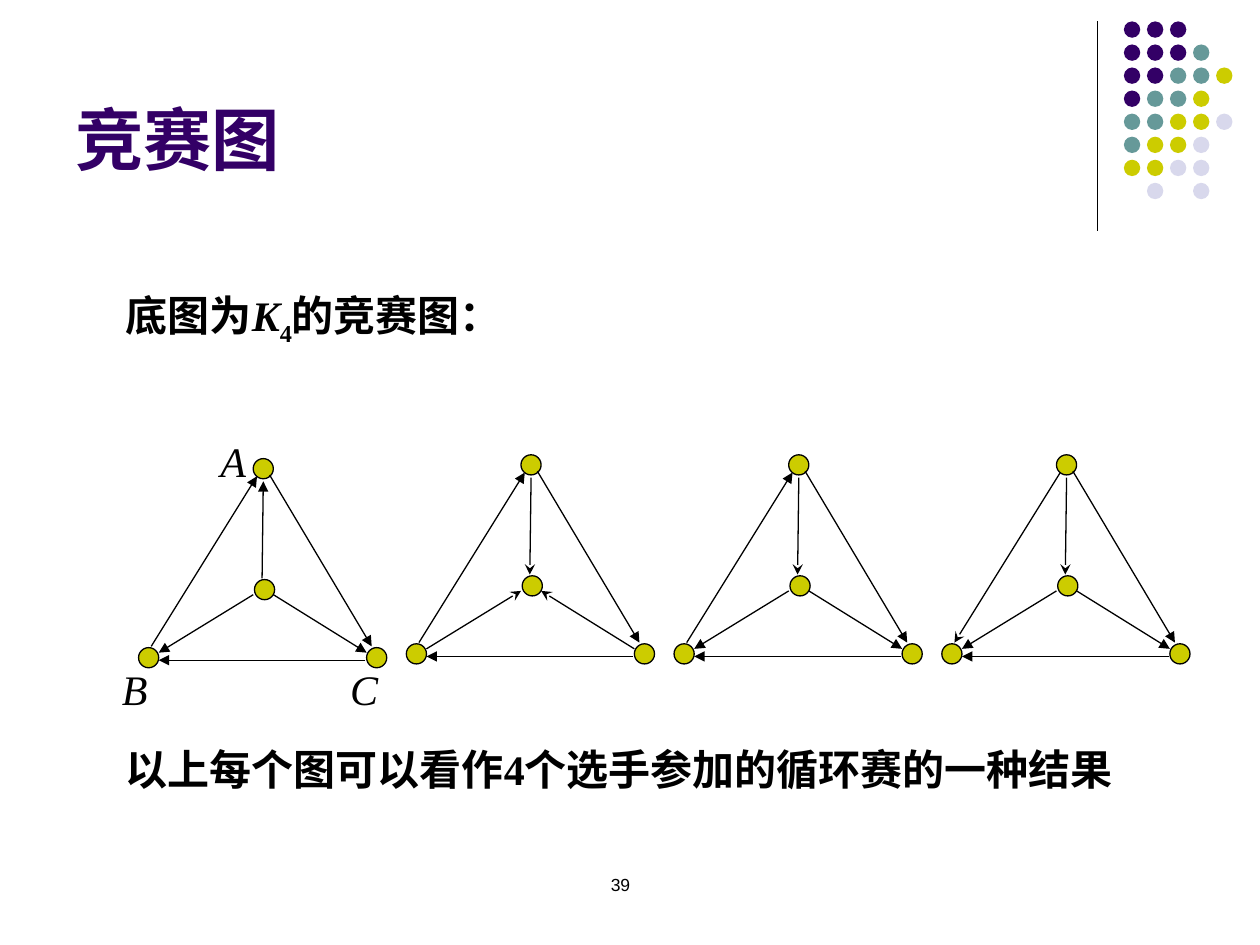
from lxml import etree
from pptx import Presentation
from pptx.dml.color import RGBColor
from pptx.enum.lang import MSO_LANGUAGE_ID as LANG
from pptx.enum.shapes import MSO_CONNECTOR as LINK, MSO_SHAPE as SHAPE
from pptx.enum.text import MSO_ANCHOR as ANCHOR, PP_ALIGN as ALIGN
from pptx.oxml.ns import qn
from pptx.util import Inches, Pt

COLORS = {"black": "000000", "purple": "330066", "teal": "669999",
          "yellow": "CCCC00", "pale": "D8D8EC"}

# Corner ornament: one letter per dot, row by row
DOT_ROWS = ["PPP", "PPPT", "PPTTY", "PTTY", "TTYYL", "TYYL", "YYLL", " L L"]
DOT_COLORS = {"P": "purple", "T": "teal", "Y": "yellow", "L": "pale"}
DOT_LEFT, DOT_TOP, DOT_STEP, DOT_SIZE = 8.92, 0.17, 0.183, 0.13

# One tournament graph, placed for the first position
NODES = [(2.01, 3.64), (1.1, 5.14), (2.91, 5.14), (2.02, 4.6)]
NODE_SIZE = 0.16
EDGES = {
    "BA": ((1.2, 5.13), (2.04, 3.78)),
    "AC": ((2.14, 3.77), (2.95, 5.13)),
    "CB": ((2.9, 5.24), (1.26, 5.24)),
    "DA": ((2.08, 4.59), (2.09, 3.82)),
    "DB": ((2.01, 4.72), (1.26, 5.18)),
    "DC": ((2.17, 4.72), (2.91, 5.18)),
}
# Edges that point the other way in each graph
REVERSED = [set(), {"DA", "DB", "DC"}, {"DA"}, {"BA", "DA"}]
GRAPH_STEP, GRAPH_RISE = 2.125, 0.03

SERIF = "Times New Roman"
# Left, top, width, height, runs of (text, font overrides)
BODY_TEXTS = [
    ((0.9, 2.25, 7.8, 0.5), [("底图为", {"bold": True}),
                             ("K", {"bold": True, "italic": True}),
                             ("4", {"bold": True, "baseline": -25}),
                             ("的竞赛图：", {"bold": True})]),
    ((1.65, 3.41, 0.47, 0.5), [("A", {"italic": True})]),
    ((0.87, 5.22, 0.47, 0.5), [("B", {"italic": True})]),
    ((2.68, 5.22, 0.47, 0.5), [("C", {"italic": True})]),
    ((0.9, 5.85, 8.23, 0.51),
     [("以上每个图可以看作4个选手参加的循环赛的一种结果", {"bold": True})]),
]


def color(name):
    return RGBColor.from_string(COLORS[name])


def add_text(page, place, runs, size=24, font=SERIF, ink="black",
             anchor=ANCHOR.TOP, align=ALIGN.LEFT):
    box = page.shapes.add_textbox(*map(Inches, place))
    frame = box.text_frame
    frame.word_wrap = True
    frame.vertical_anchor = anchor
    para = frame.paragraphs[0]
    para.alignment = align
    for text, style in runs:
        span = para.add_run()
        span.text = text
        span.font.name = font
        span.font.size = Pt(size)
        span.font.bold = style.get("bold", False)
        span.font.italic = style.get("italic", False)
        span.font.color.rgb = color(ink)
        span.font.language_id = LANG.SIMPLIFIED_CHINESE
        if "baseline" in style:
            span.font._element.set("baseline", str(style["baseline"] * 1000))


def add_circle(page, left, top, size, fill, outlined=False):
    circle = page.shapes.add_shape(
        SHAPE.OVAL, *map(Inches, (left, top, size, size)))
    circle.shadow.inherit = False
    circle.fill.solid()
    circle.fill.fore_color.rgb = color(fill)
    if outlined:
        circle.line.color.rgb = color("black")
        circle.line.width = Pt(0.75)
    else:
        circle.line.fill.background()


def add_line(page, start, end, arrow=None):
    """arrow is a pair: the end (headEnd or tailEnd) and its type."""
    line = page.shapes.add_connector(
        LINK.STRAIGHT, *map(Inches, (*start, *end)))
    line.line.color.rgb = color("black")
    line.line.width = Pt(0.75)
    if arrow:
        tip, kind = arrow
        outline = line.line._get_or_add_ln()
        etree.SubElement(outline, qn(f"a:{tip}"), type=kind)
    etree.SubElement(line._element.spPr, qn("a:effectLst"))


def add_graph(page, index, reverse):
    dx = index * GRAPH_STEP
    dy = -GRAPH_RISE if index else 0
    for x, y in NODES:
        add_circle(page, x + dx, y + dy, NODE_SIZE, "yellow", outlined=True)
    for name, ends in EDGES.items():
        start, end = [(x + dx, y + dy) for x, y in ends]
        arrow = (("headEnd", "stealth") if name in reverse
                 else ("tailEnd", "triangle"))
        add_line(page, start, end, arrow)


def main():
    deck = Presentation()
    deck.slide_width, deck.slide_height = Inches(10), Inches(7.5)
    page = deck.slides.add_slide(deck.slide_layouts[6])

    # Corner ornament
    add_line(page, (8.71, 0.17), (8.71, 1.83))
    for row, letters in enumerate(DOT_ROWS):
        for column, letter in enumerate(letters):
            if letter in DOT_COLORS:
                add_circle(page, DOT_LEFT + column * DOT_STEP,
                           DOT_TOP + row * DOT_STEP, DOT_SIZE,
                           DOT_COLORS[letter])

    # Title, graphs, text and page number
    add_text(page, (0.5, 0.13, 8.25, 1.34), [("竞赛图", {"bold": True})],
             size=39, font="Arial", ink="purple", anchor=ANCHOR.BOTTOM)
    for index, reverse in enumerate(REVERSED):
        add_graph(page, index, reverse)
    for place, runs in BODY_TEXTS:
        add_text(page, place, runs)
    add_text(page, (3.76, 6.89, 2.33, 0.5), [("39", {})], size=10,
             font="Arial", align=ALIGN.CENTER)

    deck.save("out.pptx")


if __name__ == "__main__":
    main()
